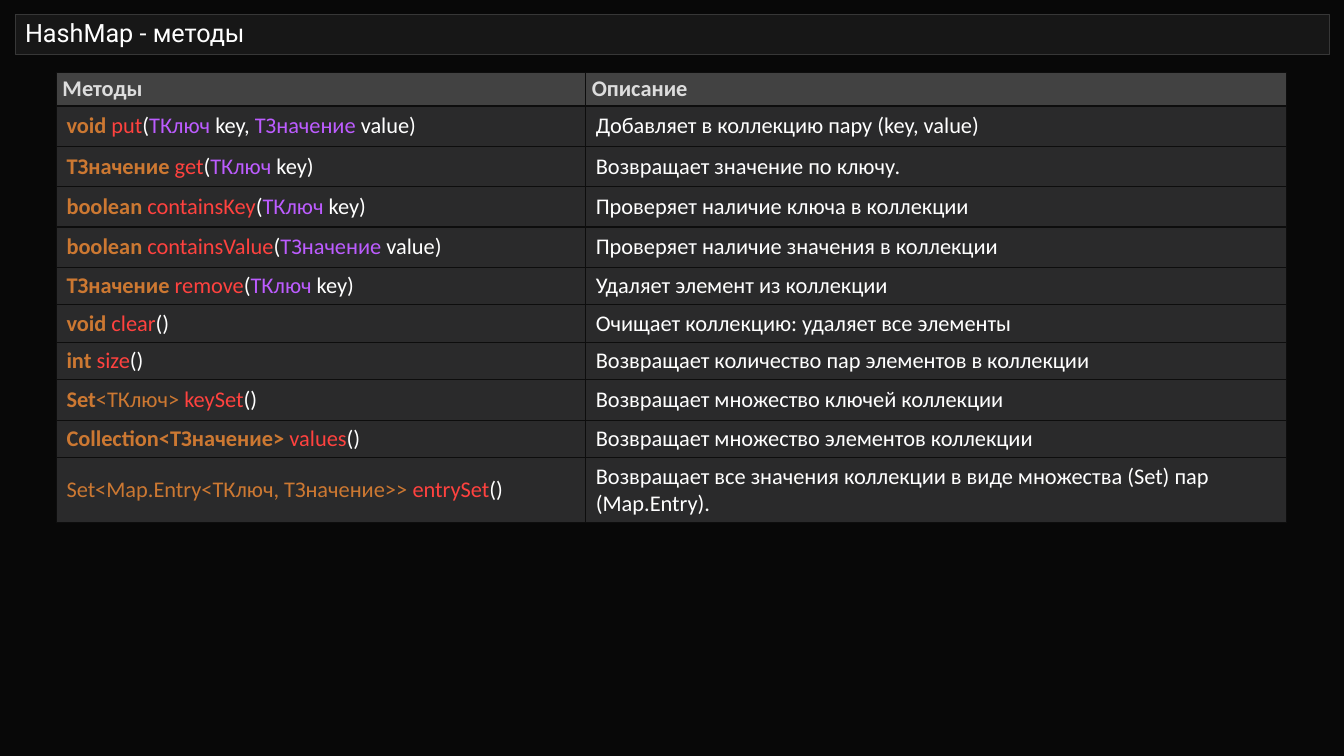
from lxml import etree
from pptx import Presentation
from pptx.dml.color import RGBColor
from pptx.enum.shapes import MSO_SHAPE
from pptx.enum.text import MSO_ANCHOR, PP_ALIGN
from pptx.oxml.ns import qn
from pptx.util import Inches, Pt

RECTANGLE = MSO_SHAPE.RECTANGLE
MIDDLE = MSO_ANCHOR.MIDDLE
LEFT = PP_ALIGN.LEFT

# Content
TITLE = "HashMap - методы"
HEADINGS = ("Методы", "Описание")

# Each method: row height, signature as (style, text) spans, description
METHODS = [
    (0.4, [("type", "void "), ("name", "put"), ("plain", "("), ("generic", "ТКлюч"),
           ("plain", " key, "), ("generic", "ТЗначение"), ("plain", " value)")],
     "Добавляет в коллекцию пару (key, value)"),
    (0.4, [("type", "ТЗначение "), ("name", "get"), ("plain", "("),
           ("generic", "ТКлюч "), ("plain", "key)")],
     "Возвращает значение по ключу."),
    (0.4, [("type", "boolean "), ("name", "containsKey"), ("plain", "("),
           ("generic", "ТКлюч "), ("plain", "key)")],
     "Проверяет наличие ключа в коллекции"),
    (0.4, [("type", "boolean "), ("name", "containsValue"), ("plain", "("),
           ("generic", "ТЗначение "), ("plain", "value)")],
     "Проверяет наличие значения в коллекции"),
    (0.37, [("type", "ТЗначение "), ("name", "remove"), ("plain", "("),
            ("generic", "ТКлюч "), ("plain", "key)")],
     "Удаляет элемент из коллекции"),
    (0.37, [("type", "void "), ("name", "clear"), ("plain", "()")],
     "Очищает коллекцию: удаляет все элементы"),
    (0.37, [("type", "int "), ("name", "size"), ("plain", "()")],
     "Возвращает количество пар элементов в коллекции"),
    (0.4, [("type", "Set"), ("light type", "<ТКлюч> "), ("name", "keySet"), ("plain", "()")],
     "Возвращает множество ключей коллекции"),
    (0.37, [("type", "Collection<ТЗначение> "), ("name", "values"), ("plain", "()")],
     "Возвращает множество элементов коллекции"),
    (0.63, [("light type", "Set<Map.Entry<TКлюч, TЗначение>> "), ("name", "entrySet"),
            ("plain", "()")],
     "Возвращает все значения коллекции в виде множества (Set) пар (Map.Entry)."),
]

# Look
COLORS = {
    "page": "080808", "bar": "171717", "bar line": "373737",
    "header": "424242", "row": "2A2A2B", "border": "0D0D0D",
    "heading": "DDDDDD", "type": "CC7832", "light type": "CC7832",
    "name": "FF423F", "generic": "BC5CFF", "plain": "FFFFFF",
}
BOLD_STYLES = ("heading", "type")
COLUMN_WIDTHS = (5.25, 6.95)
HEADER_HEIGHT = 0.33
HEADER_MARGINS = (0.06, 0.03)
ROW_MARGINS = (0.1, 0.05)


def color(name):
    return RGBColor.from_string(COLORS[name])


def paint(fill, name):
    fill.solid()
    fill.fore_color.rgb = color(name)


def add_spans(para, spans, size, font_name):
    para.alignment = LEFT
    for style, text in spans:
        span = para.add_run()
        span.text = text
        values = {"name": font_name, "size": Pt(size), "bold": style in BOLD_STYLES}
        for key, value in values.items():
            setattr(span.font, key, value)
        span.font.color.rgb = color(style)


def add_borders(cell):
    properties = cell._tc.get_or_add_tcPr()
    for side in ("a:lnL", "a:lnR", "a:lnT", "a:lnB"):
        line = etree.SubElement(properties, qn(side), w=str(Pt(1)))
        fill = etree.SubElement(line, qn("a:solidFill"))
        etree.SubElement(fill, qn("a:srgbClr"), val=COLORS["border"])


def fill_cell(cell, spans, background, margins):
    across, down = (Inches(margin) for margin in margins)
    values = {"margin_left": across, "margin_right": across, "margin_top": down,
              "margin_bottom": down, "vertical_anchor": MIDDLE}
    for key, value in values.items():
        setattr(cell, key, value)
    add_borders(cell)
    paint(cell.fill, background)
    add_spans(cell.text_frame.paragraphs[0], spans, 16, "Calibri")


deck = Presentation()
deck.slide_width, deck.slide_height = Inches(13.33), Inches(7.5)
page = deck.slides.add_slide(deck.slide_layouts[6])
paint(page.background.fill, "page")

# Title bar
bar = page.shapes.add_shape(RECTANGLE, Inches(0.15), Inches(0.14), Inches(13.04), Inches(0.4))
bar.shadow.inherit = False
paint(bar.fill, "bar")
bar.line.color.rgb = color("bar line")
bar.line.width = Pt(0.75)
bar.text_frame.word_wrap = True
bar.text_frame.vertical_anchor = MIDDLE
title = bar.text_frame.paragraphs[0]
title.line_spacing = 0.9
add_spans(title, [("plain", TITLE)], 18, "Roboto")

# Table of methods
heights = [HEADER_HEIGHT] + [height for height, _, _ in METHODS]
table = page.shapes.add_table(
    len(heights), len(COLUMN_WIDTHS), Inches(0.56), Inches(0.72),
    Inches(sum(COLUMN_WIDTHS)), Inches(sum(heights))).table
for column, width in zip(table.columns, COLUMN_WIDTHS):
    column.width = Inches(width)
for row, height in zip(table.rows, heights):
    row.height = Inches(height)

for index, heading in enumerate(HEADINGS):
    fill_cell(table.cell(0, index), [("heading", heading)], "header", HEADER_MARGINS)
for index, (_, signature, description) in enumerate(METHODS, start=1):
    fill_cell(table.cell(index, 0), signature, "row", ROW_MARGINS)
    fill_cell(table.cell(index, 1), [("plain", description)], "row", ROW_MARGINS)

deck.save("out.pptx")
